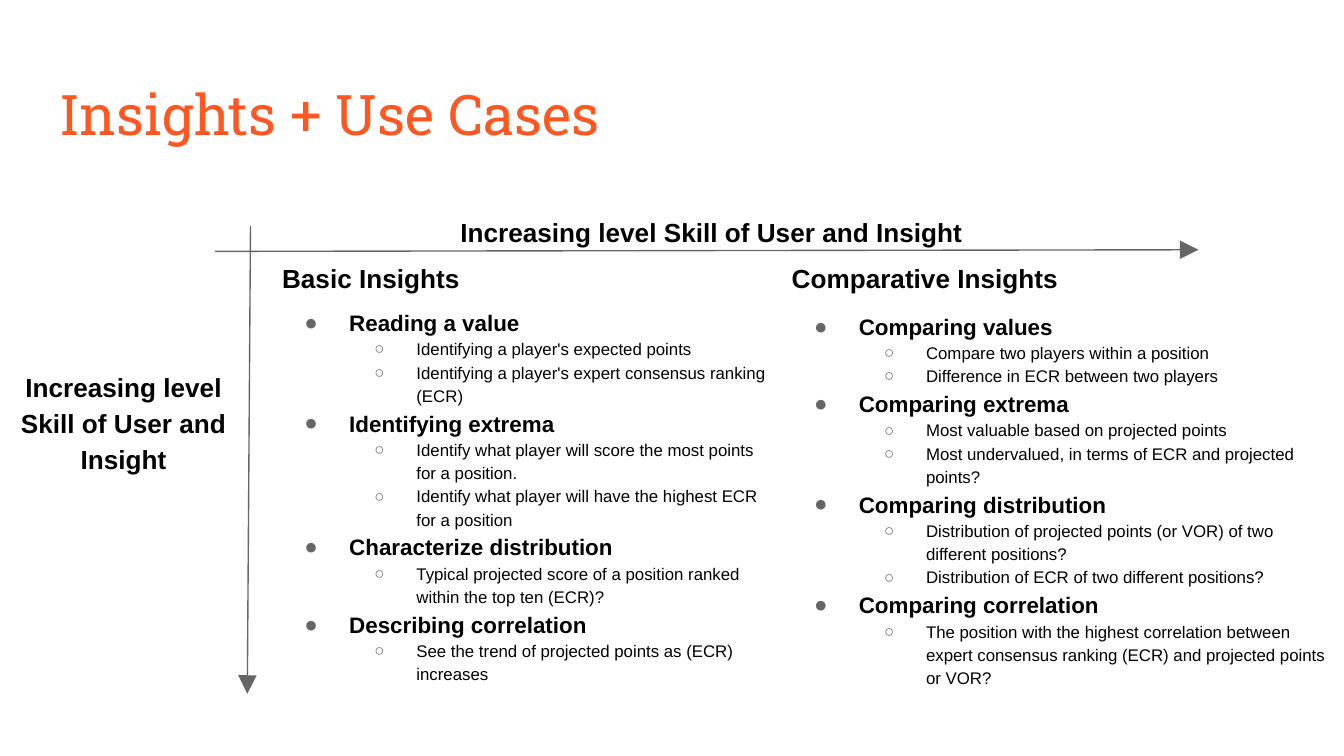
"""Build the slide that sets basic against comparative insights along two skill axes."""
from lxml import etree
from pptx import Presentation
from pptx.dml.color import RGBColor
from pptx.enum import shapes, text
from pptx.oxml import ns
from pptx.util import Pt

COLORS = {"title": "FF5722", "text": "000000", "gray": "666666"}
AXIS_LABEL = "Increasing level Skill of User and Insight"
BULLETS = [("●", 12, 36, -24), ("○", 9, 72, -22.5)]

BASIC = [
    ("Reading a value", [
        "Identifying a player's expected points",
        "Identifying a player's expert consensus ranking (ECR)"]),
    ("Identifying extrema", [
        "Identify what player will score the most points for a position.",
        "Identify what player will have the highest ECR for a position"]),
    ("Characterize distribution", [
        "Typical projected score of a position ranked within the top ten (ECR)?"]),
    ("Describing correlation", [
        "See the trend of projected points as (ECR) increases"]),
]
COMPARATIVE = [
    ("Comparing values", [
        "Compare two players within a position",
        "Difference in ECR between two players"]),
    ("Comparing extrema", [
        "Most valuable based on projected points",
        "Most undervalued, in terms of ECR and projected points?"]),
    ("Comparing distribution", [
        "Distribution of projected points (or VOR) of two different positions?",
        "Distribution of ECR of two different positions?"]),
    ("Comparing correlation", [
        "The position with the highest correlation between expert consensus "
        "ranking (ECR) and projected points or VOR?"]),
]


def color(name):
    return RGBColor.from_string(COLORS[name])


def add_element(parent, tag, **attributes):
    return etree.SubElement(parent, ns.qn(tag), attributes)


def set_font(paragraph, size, bold=False, name="Arial", color_name="text"):
    font = paragraph.font
    font.name, font.size, font.bold = name, Pt(size), bold
    font.color.rgb = color(color_name)


def set_frame(frame, anchor):
    frame.word_wrap = True
    frame.auto_size = text.MSO_AUTO_SIZE.NONE
    frame.vertical_anchor = anchor
    frame.margin_left = frame.margin_right = Pt(7.2)
    frame.margin_top = frame.margin_bottom = Pt(7.2)


def add_text_box(slide, box, anchor=text.MSO_ANCHOR.TOP):
    frame = slide.shapes.add_textbox(*map(Pt, box)).text_frame
    set_frame(frame, anchor)
    return frame


def write_heading(frame, wording, space_after=6):
    paragraph = frame.paragraphs[0]
    paragraph.text = wording
    paragraph.line_spacing = 1.15
    paragraph.space_after = Pt(space_after)
    set_font(paragraph, 14, bold=True)
    return paragraph


def add_bullet(frame, wording, level):
    character, size, margin, indent = BULLETS[level]
    paragraph = frame.add_paragraph()
    paragraph.text = wording
    paragraph.level = level
    paragraph.line_spacing = 1.15
    properties = paragraph._p.get_or_add_pPr()
    properties.set("marL", str(Pt(margin)))
    properties.set("indent", str(Pt(indent)))
    bullet_color = add_element(properties, "a:buClr")
    add_element(bullet_color, "a:srgbClr", val=COLORS["gray"])
    add_element(properties, "a:buFont", typeface="Arial")
    add_element(properties, "a:buChar", char=character)
    set_font(paragraph, size, bold=level == 0)


def add_column(slide, box, heading, groups, space_after):
    frame = add_text_box(slide, box)
    write_heading(frame, heading, space_after)
    for topic, examples in groups:
        add_bullet(frame, topic, 0)
        for example in examples:
            add_bullet(frame, example, 1)


def add_axis(slide, start, end):
    connector = slide.shapes.add_connector(
        shapes.MSO_CONNECTOR.STRAIGHT, *map(Pt, start + end))
    connector.line.color.rgb = color("gray")
    connector.line.width = Pt(0.75)
    add_element(connector.line._get_or_add_ln(), "a:tailEnd",
                type="triangle", w="lg", len="lg")
    add_element(connector._element.spPr, "a:effectLst")


def write_title(slide, wording):
    title = slide.shapes.title
    title.left, title.top, title.width, title.height = map(Pt, (24.5, 35.3, 671, 45.4))
    set_frame(title.text_frame, text.MSO_ANCHOR.TOP)
    paragraph = title.text_frame.paragraphs[0]
    paragraph.text = wording
    paragraph.alignment = text.PP_ALIGN.LEFT
    set_font(paragraph, 30, name="Roboto Slab", color_name="title")


def main():
    presentation = Presentation()
    presentation.slide_width, presentation.slide_height = Pt(720), Pt(405)
    slide = presentation.slides.add_slide(presentation.slide_layouts[5])
    write_title(slide, "Insights + Use Cases")
    add_column(slide, (417, 131, 303, 244), "Comparative Insights", COMPARATIVE, 8)
    add_column(slide, (144, 131, 273, 269), "Basic Insights", BASIC, 6)
    add_axis(slide, (134.2, 121), (132.5, 371.7))
    across = add_text_box(slide, (239.5, 108, 303, 30), text.MSO_ANCHOR.MIDDLE)
    write_heading(across, AXIS_LABEL)
    add_axis(slide, (115.2, 134.7), (642, 133.8))
    down = add_text_box(slide, (0, 198, 132.5, 55), text.MSO_ANCHOR.MIDDLE)
    write_heading(down, AXIS_LABEL).alignment = text.PP_ALIGN.CENTER
    presentation.save("out.pptx")


if __name__ == "__main__":
    main()
